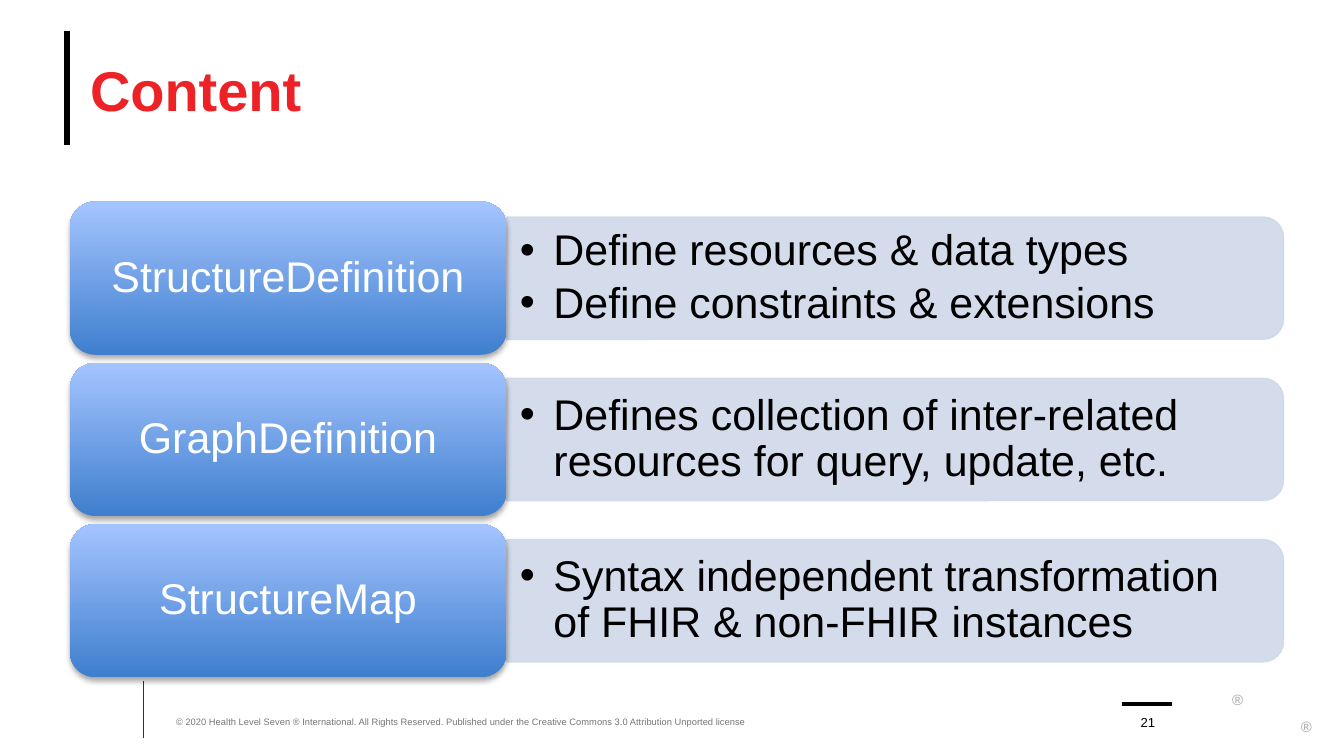
"""Build the Content slide: three definition labels with their descriptions."""
from dataclasses import dataclass

from lxml import etree
from pptx import Presentation
from pptx.dml.color import RGBColor
from pptx.enum.shapes import MSO_CONNECTOR, MSO_SHAPE
from pptx.enum.text import MSO_ANCHOR, PP_ALIGN
from pptx.oxml.ns import qn
from pptx.util import Inches, Pt

STRAIGHT = MSO_CONNECTOR.STRAIGHT
ROUNDED, TOP_ROUNDED = MSO_SHAPE.ROUNDED_RECTANGLE, MSO_SHAPE.ROUND_2_SAME_RECTANGLE
TOP, MIDDLE, BOTTOM = MSO_ANCHOR.TOP, MSO_ANCHOR.MIDDLE, MSO_ANCHOR.BOTTOM
LEFT, CENTER = PP_ALIGN.LEFT, PP_ALIGN.CENTER

WIDTH = 10
HEIGHT = WIDTH * 9 / 16
CELL = 0.1
FIRST_ROW, ROW_STEP = 15, 12
LABEL_LEFT, LABEL_WIDTH, LABEL_HEIGHT = 5.2, 32.5, 11.4
PANEL_WIDTH, PANEL_HEIGHT = 57.8, 9.1
INSETS = (1, 0.5)

TOPICS = [
    ("StructureDefinition", ["Define resources & data types", "Define constraints & extensions"]),
    ("GraphDefinition", ["Defines collection of inter-related resources for query, update, etc."]),
    ("StructureMap", ["Syntax independent transformation of FHIR & non-FHIR instances"]),
]
COPYRIGHT = (
    "© 2020 Health Level Seven ® International. All Rights Reserved. "
    "Published under the Creative Commons 3.0 Attribution Unported license"
)


@dataclass(frozen=True)
class Theme:
    """Colours, font and type sizes of the slide."""

    font: str = "Arial"
    ink: str = "000000"
    title: str = "EC2227"
    footer: str = "747679"
    mark: str = "A6A6A6"
    divider: str = "3D3029"
    panel: str = "D0D8E8"
    label_bottom: str = "3F7FCE"
    label_top: str = "A4C4FF"
    label_text: str = "FFFFFF"
    title_size: int = 30
    body_size: int = 23
    mark_size: int = 8
    number_size: int = 7
    footer_size: int = 5


def cells(count):
    """Turn a number of grid cells into a length."""
    return Inches(count * CELL)


def add_bullet(para, font):
    """Give a paragraph a round bullet with a hanging indent."""
    properties = para._p.get_or_add_pPr()
    properties.set("marL", str(cells(2.5)))
    properties.set("indent", str(cells(-2.5)))
    etree.SubElement(properties, qn("a:buFont"), typeface=font)
    etree.SubElement(properties, qn("a:buChar"), char="•")


def write(frame, lines, *, theme, size, color, bold=False, align=LEFT, bullet=False,
          spacing=None, after=0):
    """Write lines of text as formatted paragraphs."""
    for index, line in enumerate(lines):
        para = frame.paragraphs[0] if index == 0 else frame.add_paragraph()
        if bullet:
            add_bullet(para, theme.font)
        para.alignment = align
        para.line_spacing = spacing
        para.space_after = Pt(after)
        para.font.size = Pt(size)
        span = para.add_run()
        span.text = line
        span.font.name = theme.font
        span.font.size = Pt(size)
        span.font.bold = bold
        span.font.color.rgb = RGBColor.from_string(color)


class SlideBuilder:
    """Hold the theme and the current slide and draw elements on its grid."""

    def __init__(self, page, theme):
        """Keep the page and the theme."""
        self.page = page
        self.theme = theme

    def text(self, place, lines, *, anchor=MIDDLE, insets=(0, 0), wrap=True, **style):
        """Add a text box."""
        box = self.page.shapes.add_textbox(*map(cells, place))
        frame = box.text_frame
        frame.word_wrap = wrap
        frame.vertical_anchor = anchor
        frame.margin_left = frame.margin_right = cells(insets[0])
        frame.margin_top = frame.margin_bottom = cells(insets[1])
        write(frame, lines, theme=self.theme, **style)

    def line(self, start, end, color, width):
        """Add a straight line without a shadow."""
        line = self.page.shapes.add_connector(STRAIGHT, *map(cells, start + end))
        line.line.color.rgb = RGBColor.from_string(color)
        line.line.width = Pt(width)
        etree.SubElement(line._element.spPr, qn("a:effectLst"))

    def panel(self, left, middle):
        """Add a translucent panel rounded on its right side."""
        place = (left + (PANEL_WIDTH - PANEL_HEIGHT) / 2, middle - PANEL_WIDTH / 2,
                 PANEL_HEIGHT, PANEL_WIDTH)
        shape = self.page.shapes.add_shape(TOP_ROUNDED, *map(cells, place))
        shape.rotation = 90
        shape.shadow.inherit = False
        shape.fill.solid()
        shape.fill.fore_color.rgb = RGBColor.from_string(self.theme.panel)
        shape.line.color.rgb = RGBColor.from_string(self.theme.panel)
        shape.line.width = Pt(0.75)
        for color in shape._element.spPr.iter(qn("a:srgbClr")):
            etree.SubElement(color, qn("a:alpha"), val="90000")

    def label(self, place):
        """Add a rounded label with a gradient and a soft shadow."""
        shape = self.page.shapes.add_shape(ROUNDED, *map(cells, place))
        shape.line.fill.background()
        shape.fill.gradient()
        shape.fill.gradient_angle = 90
        colors = (self.theme.label_bottom, self.theme.label_top)
        for stop, position, color in zip(shape.fill.gradient_stops, (0, 1), colors):
            stop.position = position
            stop.color.rgb = RGBColor.from_string(color)
        shape.shadow.inherit = False
        effects = shape._element.spPr.find(qn("a:effectLst"))
        shadow = etree.SubElement(effects, qn("a:outerShdw"), blurRad=str(Pt(3.1)),
                                  dist=str(Pt(1.8)), dir="5400000", rotWithShape="0")
        color = etree.SubElement(shadow, qn("a:srgbClr"), val=self.theme.ink)
        etree.SubElement(color, qn("a:alpha"), val="35000")

    def topic(self, top, name, points):
        """Add one label and the panel that describes it."""
        theme = self.theme
        middle = top + LABEL_HEIGHT / 2
        right = LABEL_LEFT + LABEL_WIDTH
        body = {"size": theme.body_size, "spacing": 0.9, "insets": INSETS}
        self.panel(right, middle)
        self.text((right, middle - 4.1, 57.4, 8.2), points, color=theme.ink,
                  bullet=True, after=3.45, **body)
        self.label((LABEL_LEFT, top, LABEL_WIDTH, LABEL_HEIGHT))
        self.text((LABEL_LEFT + 0.55, top + 0.55, LABEL_WIDTH - 1.1, LABEL_HEIGHT - 1.1),
                  [name], color=theme.label_text, align=CENTER, after=8.05, **body)


def main():
    """Build and save the deck."""
    deck = Presentation()
    deck.slide_width, deck.slide_height = Inches(WIDTH), Inches(HEIGHT)
    theme = Theme()
    builder = SlideBuilder(deck.slides.add_slide(deck.slide_layouts[6]), theme)

    builder.line((5, 2.3), (5, 10.8), theme.ink, 3.25)
    builder.line((10.7, 50.7), (10.7, 54.9), theme.divider, 0.5)
    builder.line((83.5, 52.4), (87.2, 52.4), theme.ink, 2)
    for left, top in ((91.6, 51), (96.7, 53)):
        builder.text((left, top, 1, 0.9), ["®"], anchor=TOP, insets=(0, 0.5), wrap=False,
                     size=theme.mark_size, color=theme.mark, align=CENTER)

    builder.text((6.7, 2.3, 90, 8.6), ["Content"], size=theme.title_size,
                 color=theme.title, bold=True)
    builder.text((13.1, 52.4, 49.5, 1.7), [COPYRIGHT], anchor=BOTTOM,
                 size=theme.footer_size, color=theme.footer)
    builder.text((83.9, 52.4, 3, 1.9), ["21"], anchor=BOTTOM,
                 size=theme.number_size, color=theme.ink, align=CENTER)

    for index, (name, points) in enumerate(TOPICS):
        builder.topic(FIRST_ROW + index * ROW_STEP, name, points)
    deck.save("out.pptx")


if __name__ == "__main__":
    main()
